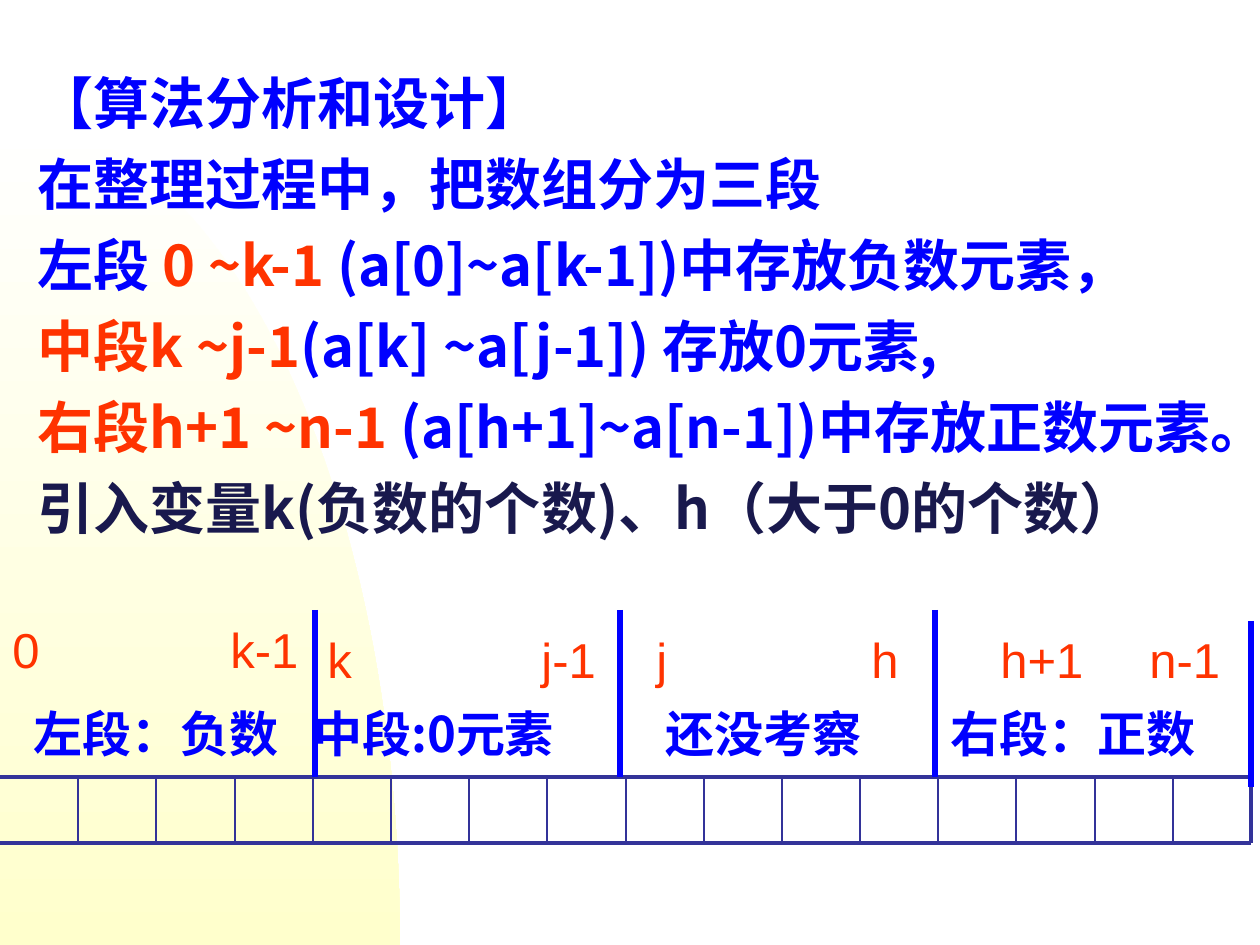
import math
from dataclasses import dataclass

from lxml import etree
from pptx import Presentation
from pptx import util as u
from pptx.dml.color import RGBColor
from pptx.enum import shapes, text
from pptx.oxml.ns import qn

EMU_PER_PX = 914400 / 126
SLIDE_WIDTH, SLIDE_HEIGHT = 1260, 945

BLUE = RGBColor(0x00, 0x00, 0xFF)
RED = RGBColor(0xFF, 0x33, 0x00)
NAVY = RGBColor(0x19, 0x19, 0x4D)
GRID = RGBColor(0x33, 0x33, 0x99)
WHITE = RGBColor(0xFF, 0xFF, 0xFF)
CREAM = RGBColor(0xFF, 0xFF, 0xCC)

LATIN, CHINESE = "Arial", "Noto Sans CJK SC"


@dataclass(frozen=True)
class Phrase:
    wording: str
    color: RGBColor = BLUE
    font: str = CHINESE
    bold: bool = True


@dataclass(frozen=True)
class Label:
    left: int
    top: int
    width: int
    height: int
    stops: tuple[int, ...]
    phrases: tuple[Phrase, ...]


@dataclass(frozen=True)
class Line:
    start: tuple[int, int]
    end: tuple[int, int]
    color: RGBColor
    weight: float


def index_phrase(wording: str) -> Phrase:
    return Phrase(wording, RED, LATIN, False)


TITLE = (Phrase("【算法分析和设计】"),)
BODY = (
    (Phrase("在整理过程中，把数组分为三段"),),
    (Phrase("左段 "), Phrase("0 ~k-1", RED), Phrase(" (a[0]~a[k-1])中存放负数元素，")),
    (Phrase("中段k ~j-1", RED), Phrase("(a[k] ~a[j-1]) 存放0元素,")),
    (Phrase("右段h+1 ~n-1", RED), Phrase(" (a[h+1]~a[n-1])中存放正数元素。")),
    (Phrase("引入变量k(负数的个数)、h（大于0的个数）", NAVY),),
)

LABELS = (
    Label(0, 610, 315, 72, (218,), (index_phrase("0\tk-1"),)),
    Label(315, 620, 295, 131, (214,), (index_phrase("k\tj-1"),)),
    Label(630, 620, 295, 131, (14, 229), (index_phrase("\tj\th"),)),
    Label(906, 620, 354, 72, (82, 231), (index_phrase("\th+1\tn-1"),)),
    Label(21, 694, 1230, 131, (280, 632, 917), (
        Phrase("左段：负数\t", font=LATIN),
        Phrase("中段:0元素\t"),
        Phrase("还没考察\t右段：正数", font=LATIN),
    )),
)

# Array cells and segment dividers
ARRAY_TOP, ARRAY_BOTTOM, ARRAY_RIGHT, CELLS = 777, 843, 1251, 16
CELL_EDGES = [round(ARRAY_RIGHT * i / CELLS) for i in range(1, CELLS + 1)]
LINES = (
    [Line((0, y), (ARRAY_RIGHT, y), GRID, 2.25) for y in (ARRAY_TOP, ARRAY_BOTTOM)]
    + [Line((x, ARRAY_TOP), (x, ARRAY_BOTTOM), GRID, 2.25 if x == ARRAY_RIGHT else 1)
       for x in CELL_EDGES]
    + [Line((x, 610), (x, ARRAY_TOP), BLUE, 3) for x in (315, 620, 935)]
    + [Line((ARRAY_RIGHT, 621), (ARRAY_RIGHT, 787), BLUE, 3)]
)


def px(length: float) -> int:
    return round(length * EMU_PER_PX)


def place(shape, left: int, top: int, width: int, height: int) -> None:
    shape.left, shape.top = px(left), px(top)
    shape.width, shape.height = px(width), px(height)


def set_up_frame(frame) -> None:
    frame.word_wrap = True
    frame.auto_size = text.MSO_AUTO_SIZE.NONE
    frame.vertical_anchor = text.MSO_ANCHOR.TOP


def write_paragraph(paragraph, phrases: tuple[Phrase, ...], size: int, spacing: float) -> None:
    paragraph.alignment = text.PP_ALIGN.LEFT
    paragraph.line_spacing = u.Pt(spacing)
    paragraph.space_before = u.Pt(0)
    for phrase in phrases:
        run = paragraph.add_run()
        run.text = phrase.wording
        run.font.size = u.Pt(size)
        run.font.name = phrase.font
        run.font.bold = phrase.bold
        run.font.color.rgb = phrase.color
        etree.SubElement(run.font._element, qn("a:ea"), typeface=CHINESE)


def draw_curve(slide) -> None:
    """Draw a quarter ellipse behind the text."""
    radius_x, radius_y, steps = 400, 829, 60
    angles = [math.pi / 2 * i / steps for i in range(steps + 1)]
    points = [(px(radius_x * math.sin(a)), px(SLIDE_HEIGHT - radius_y * math.cos(a)))
              for a in angles]
    builder = slide.shapes.build_freeform(0, px(SLIDE_HEIGHT))
    builder.add_line_segments(points, close=True)
    curve = builder.convert_to_shape()
    curve.shadow.inherit = False
    curve.line.fill.background()
    curve.fill.gradient()
    curve.fill.gradient_angle = 270
    for stop, color, position in zip(curve.fill.gradient_stops, (WHITE, CREAM), (0, 1)):
        stop.color.rgb = color
        stop.position = position
    curve.element.getparent().insert(2, curve.element)


def draw_text(slide) -> None:
    title, body = slide.shapes.title, slide.placeholders[1]
    place(title, 25, 62, 1235, 80)
    place(body, 25, 143, 1235, 604)
    for shape in (title, body):
        set_up_frame(shape.text_frame)
    write_paragraph(title.text_frame.paragraphs[0], TITLE, 32, 38.3)
    for number, phrases in enumerate(BODY):
        frame = body.text_frame
        paragraph = frame.add_paragraph() if number else frame.paragraphs[0]
        properties = paragraph._p.get_or_add_pPr()
        properties.set("marL", "0")
        properties.set("indent", "0")
        etree.SubElement(properties, qn("a:buNone"))
        write_paragraph(paragraph, phrases, 32, 38.3)
        if number:
            paragraph.space_before = u.Pt(8)


def draw_label(container, label: Label) -> None:
    box = container.add_textbox(px(label.left), px(label.top), px(label.width), px(label.height))
    set_up_frame(box.text_frame)
    box.text_frame.margin_top = px(12)
    paragraph = box.text_frame.paragraphs[0]
    tabs = etree.SubElement(paragraph._p.get_or_add_pPr(), qn("a:tabLst"))
    for stop in label.stops:
        etree.SubElement(tabs, qn("a:tab"), pos=str(px(stop)), algn="l")
    write_paragraph(paragraph, label.phrases, 28, 32)


def draw_line(container, line: Line) -> None:
    connector = container.add_connector(
        shapes.MSO_CONNECTOR.STRAIGHT, *map(px, line.start + line.end))
    connector.line.color.rgb = line.color
    connector.line.width = u.Pt(line.weight)
    etree.SubElement(connector.element.spPr, qn("a:effectLst"))


def main() -> None:
    presentation = Presentation()
    presentation.slide_width, presentation.slide_height = px(SLIDE_WIDTH), px(SLIDE_HEIGHT)
    slide = presentation.slides.add_slide(presentation.slide_layouts[1])
    draw_curve(slide)
    draw_text(slide)
    # Array diagram
    diagram = slide.shapes.add_group_shape().shapes
    for line in LINES:
        draw_line(diagram, line)
    for label in LABELS:
        draw_label(diagram, label)
    presentation.save("out.pptx")


if __name__ == "__main__":
    main()
